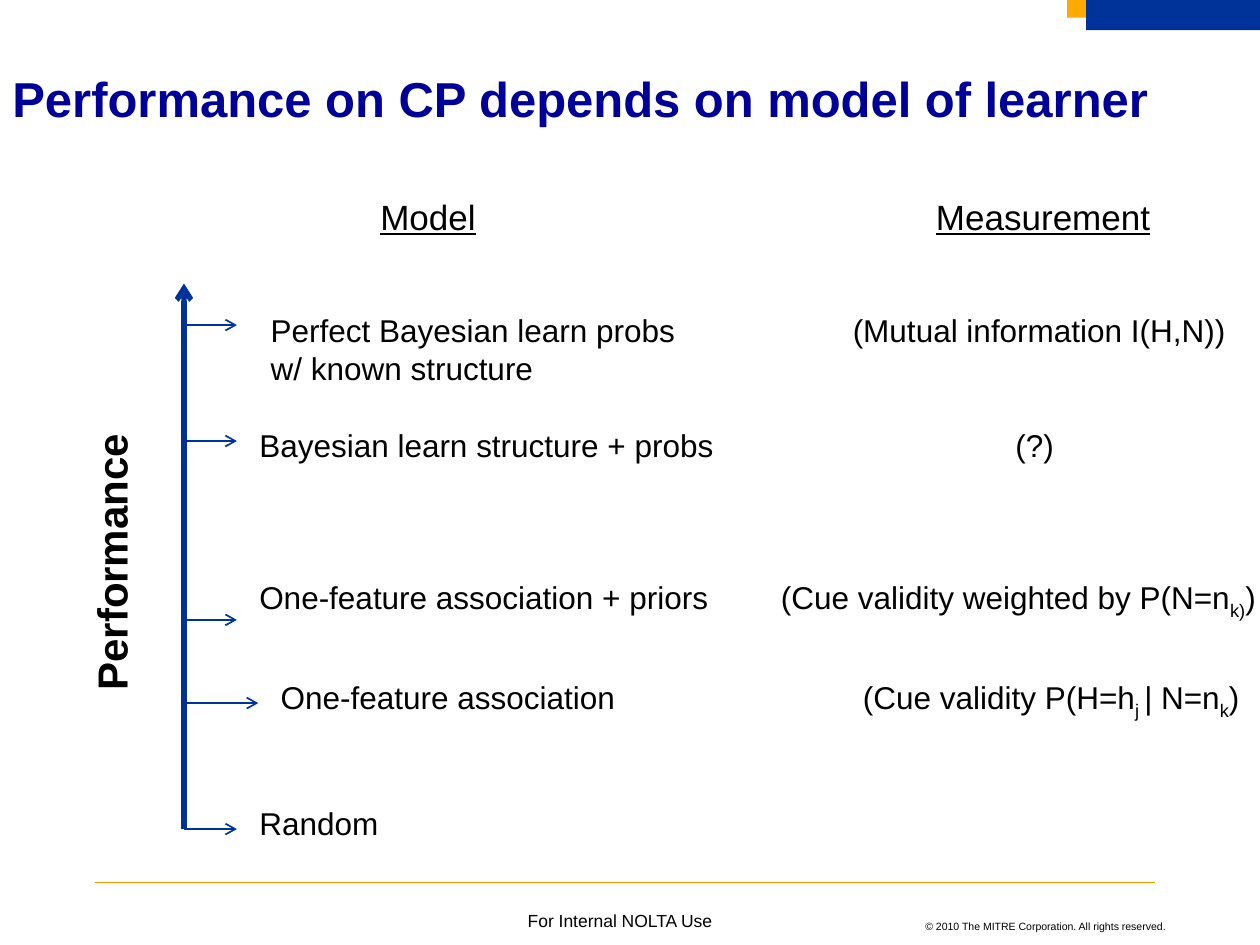
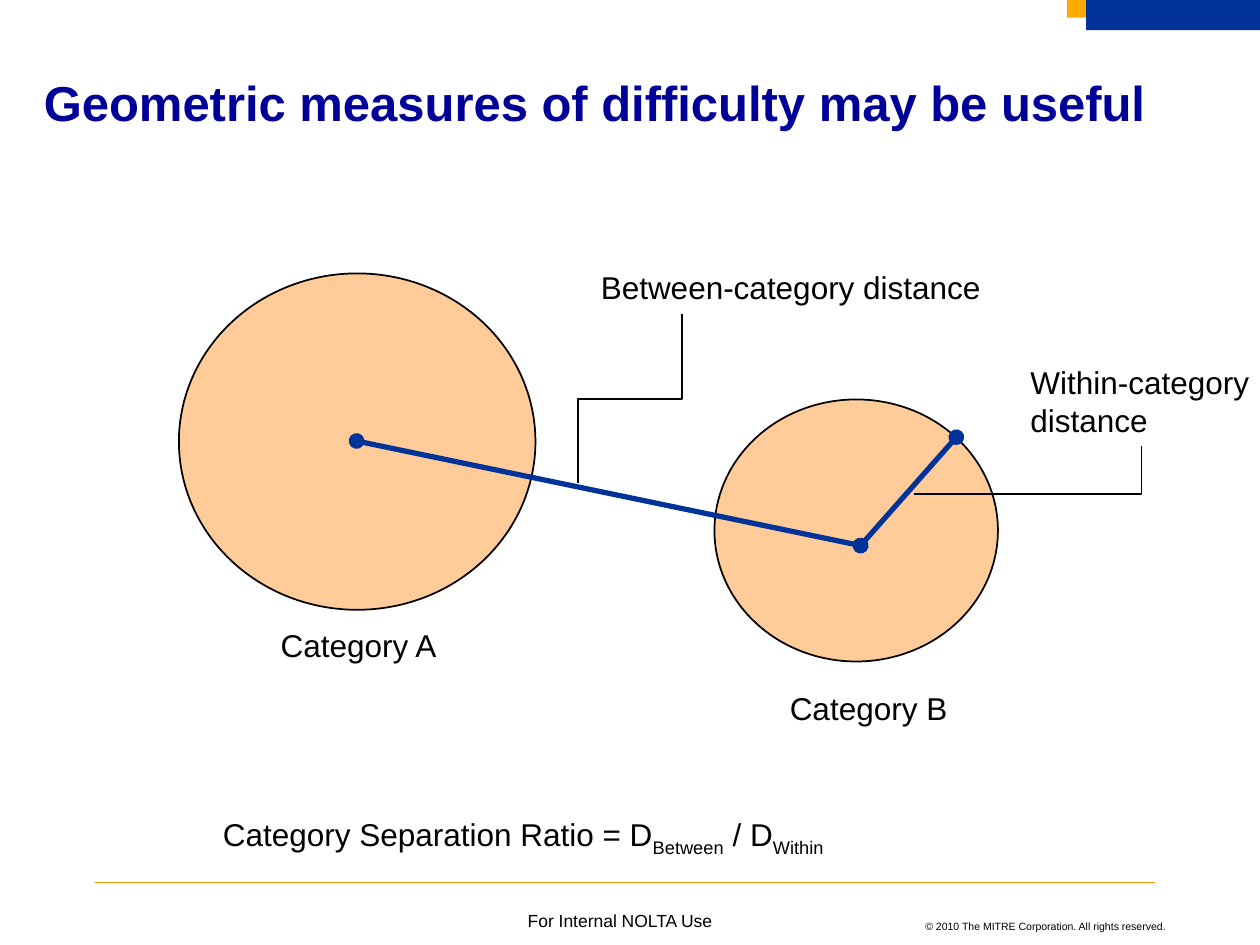
from lxml.etree import SubElement
from pptx import Presentation
from pptx.dml.color import RGBColor
from pptx.enum.shapes import MSO_CONNECTOR, MSO_SHAPE
from pptx.enum.text import MSO_ANCHOR, PP_ALIGN
from pptx.oxml.ns import qn
from pptx.util import Inches, Pt

BLACK = RGBColor(0x00, 0x00, 0x00)
BLUE = RGBColor(0x00, 0x33, 0x99)
TITLE_BLUE = RGBColor(0x00, 0x00, 0x99)
AMBER = RGBColor(0xFD, 0xAA, 0x03)
ORANGE = RGBColor(0xFF, 0x99, 0x00)
PEACH = RGBColor(0xFF, 0xCC, 0x99)

FONT = "Arial"
BODY = {"name": FONT, "size": Pt(18), "bold": False}
HEADING = {"size": Pt(20), "underline": True}
TITLE = {"size": Pt(28), "bold": True}
AXIS_LABEL = {"size": Pt(24), "bold": True}

AXIS_X = 1.46
AXIS_BOTTOM = 6.58
RIGHT_LIMIT = 10.1

# Arrow height, arrow end, model left, text top, model, measurement left, measurement
LEARNERS = [
    (2.58, 1.88, 2.05, 2.42, "Perfect Bayesian learn probs\nw/ known structure",
     6.67, "(Mutual information I(H,N))"),
    (3.5, 1.88, 1.96, 3.33, "Bayesian learn structure + probs", 7.96, "(?)"),
    (4.92, 1.88, 1.96, 4.54, "One-feature association + priors",
     6.1, "(Cue validity weighted by P(N=n~k)~)"),
    (5.58, 2.05, 2.13, 5.33, "One-feature association",
     6.75, "(Cue validity P(H=h~j ~| N=n~k~)"),
    (AXIS_BOTTOM, 1.88, 1.96, 6.33, "Random", None, None),
]


def add_text(slide, box, text, formats=None, color=BLACK, align=PP_ALIGN.LEFT,
             anchor=MSO_ANCHOR.TOP, line_spacing=None):
    """Add text with one paragraph a line; pieces between tildes are subscripts."""
    shape = slide.shapes.add_textbox(*map(Inches, box))
    frame = shape.text_frame
    frame.word_wrap = True
    frame.vertical_anchor = anchor
    for index, line in enumerate(text.split("\n")):
        paragraph = frame.paragraphs[0] if index == 0 else frame.add_paragraph()
        paragraph.alignment = align
        paragraph.line_spacing = line_spacing
        for position, piece in enumerate(line.split("~")):
            run = paragraph.add_run()
            run.text = piece
            for name, value in {**BODY, **(formats or {})}.items():
                setattr(run.font, name, value)
            run.font.color.rgb = color
            if position % 2:
                run.font._element.set("baseline", "-25000")
    return shape


def add_filled_shape(slide, kind, box, fill, outline=None):
    shape = slide.shapes.add_shape(kind, *map(Inches, box))
    shape.shadow.inherit = False
    shape.fill.solid()
    shape.fill.fore_color.rgb = fill
    if outline is None:
        shape.line.fill.background()
    else:
        shape.line.color.rgb = outline
        shape.line.width = Pt(1)


def add_line(slide, start, end, color, width, head=None, tail=None,
             kind=MSO_CONNECTOR.STRAIGHT):
    connector = slide.shapes.add_connector(kind, *map(Inches, (*start, *end)))
    connector.line.color.rgb = color
    connector.line.width = Pt(width)
    line = connector.line._get_or_add_ln()
    for tag, arrowhead in (("a:headEnd", head), ("a:tailEnd", tail)):
        if arrowhead:
            SubElement(line, qn(tag), type=arrowhead)
    SubElement(connector.element.spPr, qn("a:effectLst"))
    return connector


def add_slide(presentation, title, title_box):
    """Add a slide with the corner bands, title, rule and footers."""
    slide = presentation.slides.add_slide(presentation.slide_layouts[6])
    add_line(slide, (0.75, 7), (9.17, 7), ORANGE, 0.5)
    add_filled_shape(slide, MSO_SHAPE.RECTANGLE, (8.47, 0, 1.53, 0.14), AMBER)
    add_filled_shape(slide, MSO_SHAPE.RECTANGLE, (8.62, 0, 1.38, 0.24), BLUE)
    add_text(slide, (6.85, 7.25, 2.5, 0.2),
             "© 2010 The MITRE Corporation. All rights reserved.",
             {"size": Pt(6)}, align=PP_ALIGN.RIGHT)
    add_text(slide, (3.92, 7.17, 2, 0.27), "For Internal NOLTA Use",
             {"size": Pt(10)}, align=PP_ALIGN.CENTER, line_spacing=Pt(12))
    add_text(slide, title_box, title, TITLE, TITLE_BLUE,
             anchor=MSO_ANCHOR.MIDDLE, line_spacing=Pt(28))
    return slide


def add_performance_slide(presentation):
    slide = add_slide(presentation, "Performance on CP depends on model of learner",
                      (0, 0.3, 9.75, 1.03))
    add_text(slide, (2.92, 1.5, 1, 0.44), "Model", HEADING)
    add_text(slide, (7.33, 1.5, 2.25, 0.44), "Measurement", HEADING)
    add_line(slide, (AXIS_X, AXIS_BOTTOM), (AXIS_X, 2.25), BLUE, 3, tail="arrow")
    label = add_text(slide, (0.63, 3.3, 0.61, 2.28), "Performance", AXIS_LABEL)
    label.text_frame._txBody.bodyPr.set("vert", "vert270")
    for (arrow_y, arrow_end, model_left, top, model,
         measurement_left, measurement) in LEARNERS:
        add_line(slide, (AXIS_X, arrow_y), (arrow_end, arrow_y), BLUE, 1, tail="arrow")
        add_text(slide, (model_left, top, 4, 0.4), model)
        if measurement:
            width = RIGHT_LIMIT - measurement_left
            add_text(slide, (measurement_left, top, width, 0.4), measurement)


def add_geometry_slide(presentation):
    slide = add_slide(presentation, "Geometric measures of difficulty may be useful",
                      (0.25, 0.33, 9.17, 1.03))
    for circle in ((1.42, 2.17, 2.83, 2.67), (5.67, 3.17, 2.25, 2.08)):
        add_filled_shape(slide, MSO_SHAPE.OVAL, circle, PEACH, BLACK)

    center_b = (6.83, 4.33)
    for point in ((2.83, 3.5), (7.59, 3.47)):
        add_line(slide, point, center_b, BLUE, 3, head="oval", tail="oval")

    between_leader = add_line(slide, (5.67, 3.58), (4.33, 2.75), BLACK, 1,
                              kind=MSO_CONNECTOR.ELBOW)
    between_leader.element.spPr.xfrm.set("rot", "5400000")
    within_leader = add_line(slide, (7.25, 3.92), (9.06, 3.54), BLACK, 1,
                             kind=MSO_CONNECTOR.ELBOW)
    within_leader.element.spPr.prstGeom.set("prst", "bentConnector2")

    for left, top, width, text in (
        (2.13, 4.92, 1.6, "Category A"),
        (6.17, 5.42, 1.6, "Category B"),
        (4.67, 2.08, 3.5, "Between-category distance"),
        (8.08, 2.83, 2.02, "Within-category\ndistance"),
        (1.67, 6.42, 6.08, "Category Separation Ratio = D~Between~ / D~Within"),
    ):
        add_text(slide, (left, top, width, 0.4), text)


def main():
    presentation = Presentation()
    presentation.slide_width = Inches(10)
    presentation.slide_height = Inches(7.5)
    add_performance_slide(presentation)
    add_geometry_slide(presentation)
    presentation.save("out.pptx")


if __name__ == "__main__":
    main()
